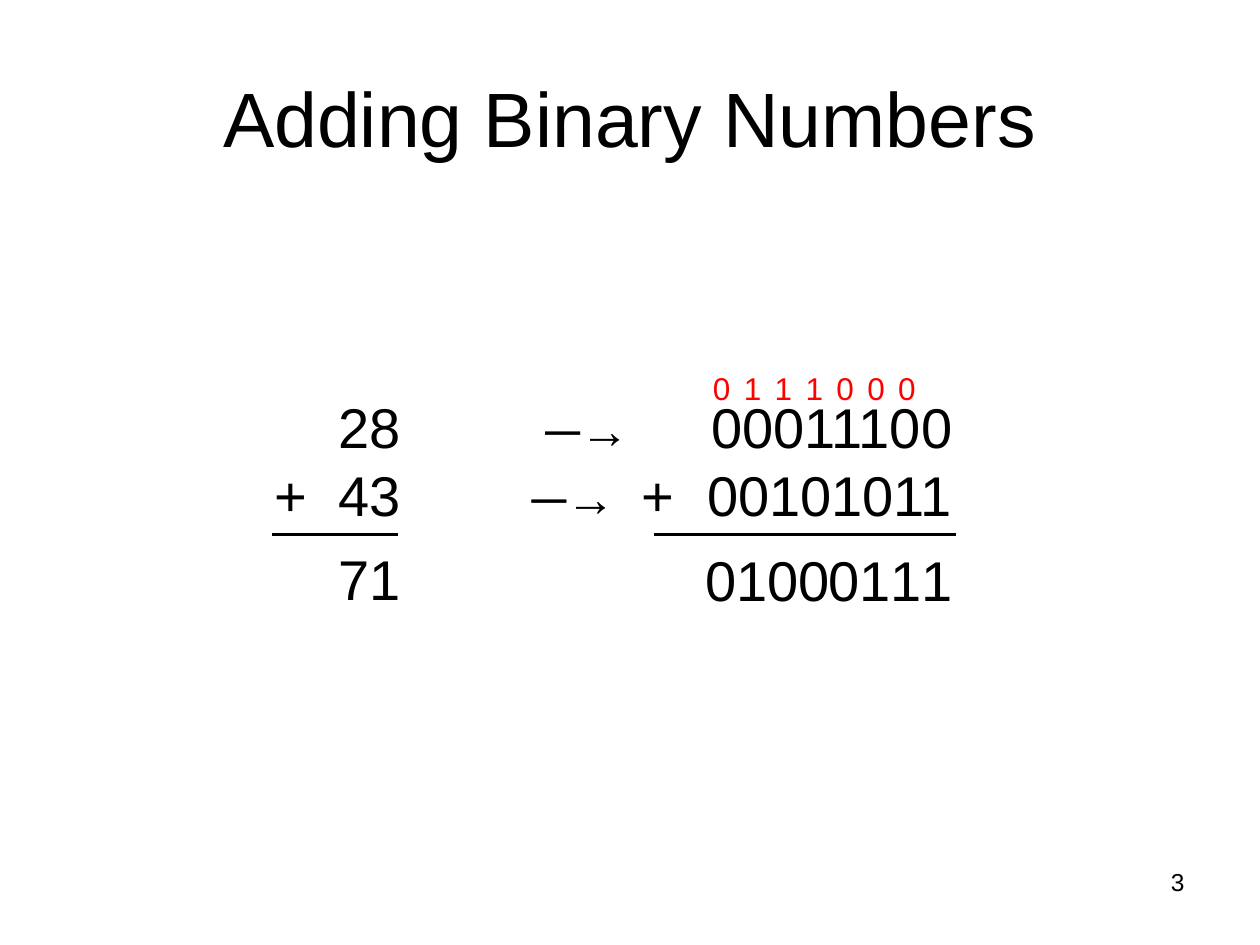
"""Build a slide that adds two numbers in decimal and in binary."""
from lxml import etree
from pptx import Presentation
from pptx import util as u
from pptx.dml.color import RGBColor
from pptx.enum import shapes, text
from pptx.oxml import ns

BLACK = RGBColor(0, 0, 0)
RED = RGBColor(255, 0, 0)
FONT = "Arial"
DIGIT_PITCH = 0.245


def add_text(page, left, top, width, height, rows, size, color=BLACK, wrap=False):
    box = page.shapes.add_textbox(*map(u.Inches, (left, top, width, height)))
    frame = box.text_frame
    frame.word_wrap = wrap
    for index, row in enumerate(rows):
        para = frame.paragraphs[0] if index == 0 else frame.add_paragraph()
        para.add_run().text = row
        para.font.name = FONT
        para.font.size = u.Pt(size)
        para.font.color.rgb = color
    return frame


def set_tabs(para, stops):
    properties = para._p.get_or_add_pPr()
    tabs = etree.Element(ns.qn("a:tabLst"))
    for position, side in stops:
        etree.SubElement(tabs, ns.qn("a:tab"), pos=str(u.Inches(position)), algn=side)
    properties.find(ns.qn("a:defRPr")).addprevious(tabs)


deck = Presentation()
deck.slide_width = u.Inches(10)
deck.slide_height = u.Inches(7.5)
page = deck.slides.add_slide(deck.slide_layouts[5])

title = page.shapes.title
title.left, title.top, title.width, title.height = map(u.Inches, (0.5, 0.3, 9, 1.25))
title.text_frame.text = "Adding Binary Numbers"
title.text_frame.vertical_anchor = text.MSO_ANCHOR.MIDDLE
para = title.text_frame.paragraphs[0]
para.alignment = text.PP_ALIGN.CENTER
para.font.name = FONT
para.font.size = u.Pt(44)
para.font.color.rgb = BLACK

number = add_text(page, 7.17, 6.83, 2.33, 0.52, ["3"], 14, wrap=True)
number.paragraphs[0].alignment = text.PP_ALIGN.RIGHT

decimal = add_text(page, 2.08, 3.07, 1.2, 1.84, ["\t28", "+\t43", "\t71"], 32, wrap=True)
decimal.margin_right = 0
decimal.paragraphs[2].line_spacing = 1.25
for para in decimal.paragraphs:
    set_tabs(para, [(1, "r")])

binary = add_text(page, 3.58, 3.07, 4.08, 1.17, ["\t─→", "\t─→"], 28, wrap=True)
binary.margin_right = 0
operands = ["\t00011100", "\t+\t00101011"]
stops = [[(0.65, "l"), (3.88, "r")], [(0.54, "l"), (1.41, "l"), (3.88, "r")]]
for para, operand, row_stops in zip(binary.paragraphs, operands, stops):
    span = para.add_run()
    span.text = operand
    span.font.size = u.Pt(32)
    set_tabs(para, row_stops)

for start, end in [(2.16, 3.16), (5.19, 7.59)]:
    rule = page.shapes.add_connector(
        shapes.MSO_CONNECTOR.STRAIGHT,
        u.Inches(start), u.Inches(4.24), u.Inches(end), u.Inches(4.24))
    rule.line.color.rgb = BLACK
    rule.line.width = u.Pt(1.5)
    etree.SubElement(rule._element.spPr, ns.qn("a:effectLst"))

for index, digit in enumerate("01000111"):
    add_text(page, 5.5 + index * DIGIT_PITCH, 4.28, 0.45, 0.64, [digit], 32)

for index, carry in enumerate("0111000"):
    add_text(page, 5.56 + index * DIGIT_PITCH, 2.88, 0.34, 0.4, [carry], 18, RED)

deck.save("out.pptx")
